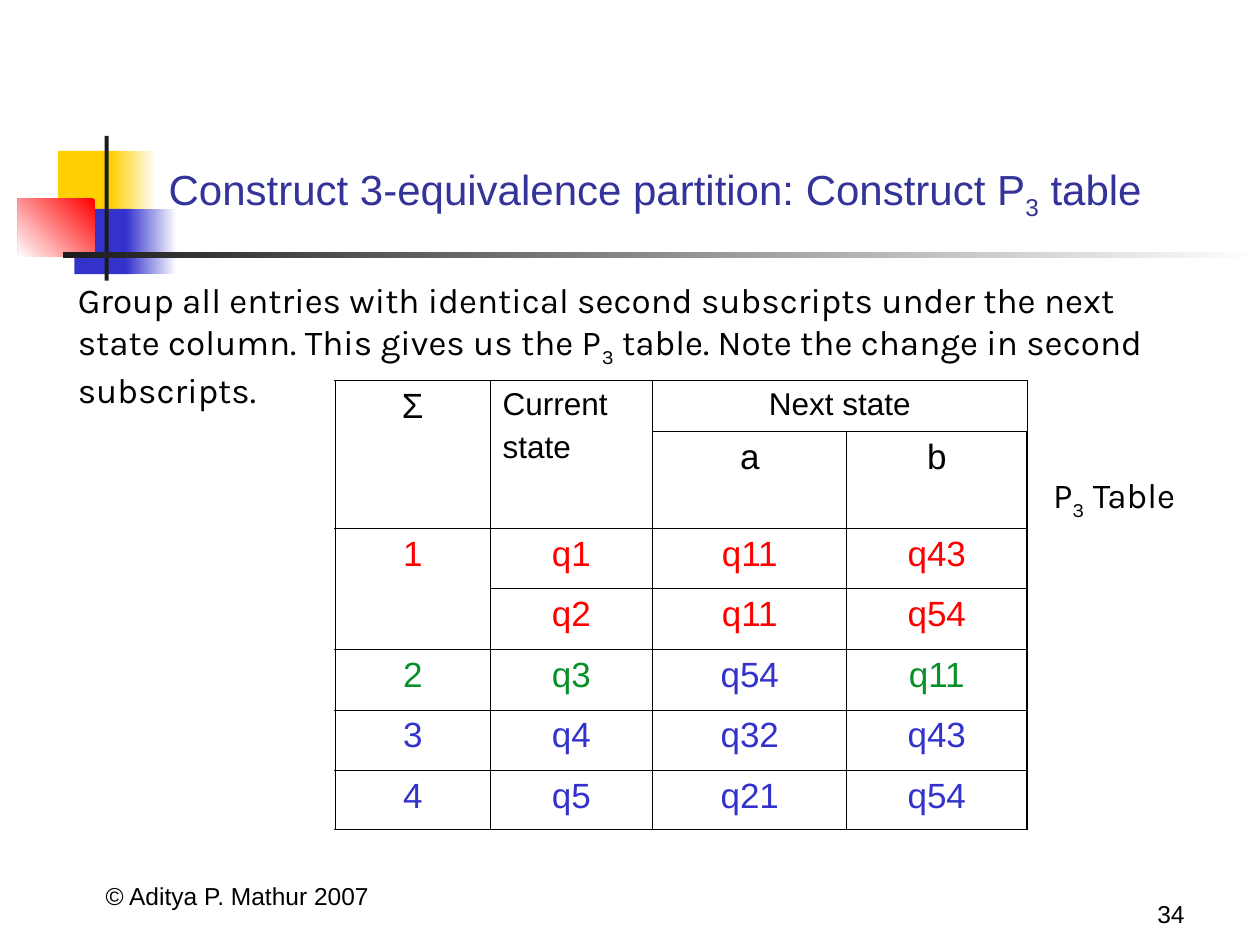
from lxml.etree import SubElement
from pptx import Presentation
from pptx.dml.color import RGBColor
from pptx.enum.shapes import MSO_SHAPE
from pptx.enum.text import MSO_ANCHOR as Anchor, PP_ALIGN as Align
from pptx.oxml.ns import qn
from pptx.util import Cm, Pt

BLACK, WHITE, RED, GREEN, BLUE = "000000", "FFFFFF", "FF0000", "089128", "3333CC"
YELLOW, CHARCOAL, INDIGO = "FFCF01", "1C1C1C", "333399"
THICK, THIN = Pt(1.08), Pt(0.45)


def color(value):
    return RGBColor.from_string(value)


def style(paragraph, size, ink, face="Arial", align=Align.LEFT):
    paragraph.alignment = align
    paragraph.font.size = Pt(size)
    paragraph.font.name = face
    paragraph.font.color.rgb = color(ink)


def write(slide, box, parts, size, ink=BLACK, face="Arial", align=Align.LEFT, anchor=Anchor.TOP):
    frame = slide.shapes.add_textbox(*map(Cm, box)).text_frame
    frame.word_wrap = True
    frame.vertical_anchor = anchor
    paragraph = frame.paragraphs[0]
    for index, part in enumerate(parts):
        run = paragraph.add_run()
        run.text = part
        if index % 2:
            run.font._element.set("baseline", "-25000")
    style(paragraph, size, ink, face, align)


def add_block(slide, box, stops, angle=180):
    block = slide.shapes.add_shape(MSO_SHAPE.RECTANGLE, *map(Cm, box))
    block.shadow.inherit = False
    block.line.fill.background()
    if len(stops) == 1:
        block.fill.solid()
        block.fill.fore_color.rgb = color(stops[0])
        return
    block.fill.gradient()
    block.fill.gradient_angle = angle
    for stop, value in zip(block.fill.gradient_stops, stops):
        stop.color.rgb = color(value)


def add_emblem(slide, left, top):
    blocks = [
        (0.81, 0.3, 1.22, 1.32, [YELLOW]),
        (1.88, 0.3, 0.91, 1.32, [WHITE, YELLOW]),
        (1.14, 1.47, 1.17, 1.32, [BLUE]),
        (2.18, 1.47, 1.02, 1.32, [WHITE, BLUE]),
        (0, 1.27, 1.55, 1.17, [RED, WHITE]),
        (1.75, 0, 0.08, 2.92, [CHARCOAL]),
        (0.91, 2.34, 24.13, 0.13, [WHITE, CHARCOAL]),
    ]
    for x, y, width, height, stops in blocks:
        angle = 225 if stops[0] == RED else 180
        add_block(slide, (left + x, top + y, width, height), stops, angle)


def set_borders(cell, widths):
    for side, width in zip("LRTB", widths):
        border = SubElement(cell._tc.get_or_add_tcPr(), qn(f"a:ln{side}"), w=str(width))
        fill = SubElement(border, qn("a:solidFill"))
        SubElement(fill, qn("a:srgbClr"), val=BLACK)


def fill_cell(cell, text, ink):
    cell.text = text
    size = 18 if text.endswith("state") else 20
    align = Align.LEFT if "\n" in text else Align.CENTER
    for index, paragraph in enumerate(cell.text_frame.paragraphs):
        if index:
            paragraph.space_before = Pt(4.5)
        style(paragraph, size, ink, align=align)


def add_state_table(slide, left, top):
    rows = [
        (["Σ", "Current\nstate", "Next state", ""], BLACK),
        (["", "", "a", "b"], BLACK),
        (["1", "q1", "q11", "q43"], RED),
        (["", "q2", "q11", "q54"], RED),
        (["2", "q3", "q54", "q11"], GREEN),
        (["3", "q4", "q32", "q43"], BLUE),
        (["4", "q5", "q21", "q54"], BLUE),
    ]
    widths = [3.12, 3.28, 3.91, 3.63]
    heights = [1.02, 1.96, 1.22, 1.22, 1.22, 1.22, 1.19]
    table = slide.shapes.add_table(
        len(rows), len(widths), Cm(left), Cm(top), Cm(sum(widths)), Cm(sum(heights))
    ).table
    table.first_row = table.horz_banding = False
    for column, width in zip(table.columns, widths):
        column.width = Cm(width)
    for row, height in zip(table.rows, heights):
        row.height = Cm(height)
    for r, (texts, ink) in enumerate(rows):
        for c, text in enumerate(texts):
            cell = table.cell(r, c)
            edges = (c == 0, c == len(widths) - 1, r == 0, r == len(rows) - 1)
            set_borders(cell, [THICK if edge else THIN for edge in edges])
            cell.fill.background()
            if text:
                fill_cell(cell, text, BLUE if (text, ink) == ("q54", GREEN) else ink)
    for first, last in [((0, 0), (1, 0)), ((0, 1), (1, 1)), ((0, 2), (0, 3)), ((2, 0), (3, 0))]:
        table.cell(*first).merge(table.cell(*last))


def add_footer(slide, left, top):
    write(slide, (left, top, 8.05, 1.27), ["© Aditya P. Mathur 2007"], 14,
          align=Align.CENTER, anchor=Anchor.BOTTOM)
    write(slide, (left + 18.09, top + 0.38, 5.28, 1.27), ["34"], 14,
          align=Align.RIGHT, anchor=Anchor.BOTTOM)


def main():
    deck = Presentation()
    deck.slide_width, deck.slide_height = Cm(25.4), Cm(19.05)
    slide = deck.slides.add_slide(deck.slide_layouts[6])
    add_emblem(slide, 0.36, 2.74)
    add_footer(slide, 0.76, 17.2)
    write(slide, (3.15, 2.34, 21.64, 2.24),
          ["Construct 3-equivalence partition: Construct P", "3", " table"],
          24, INDIGO, anchor=Anchor.BOTTOM)
    write(slide, (1.32, 5.49, 22.43, 2.92),
          ["Group all entries with identical second subscripts under the next state column. "
           "This gives us the P", "3", " table. Note the change in second subscripts."],
          20, face="Karla")
    add_state_table(slide, 6.76, 7.67)
    write(slide, (20.98, 9.42, 3.25, 1.22), ["P", "3", " Table"], 20, face="Karla")
    deck.save("out.pptx")


if __name__ == "__main__":
    main()
